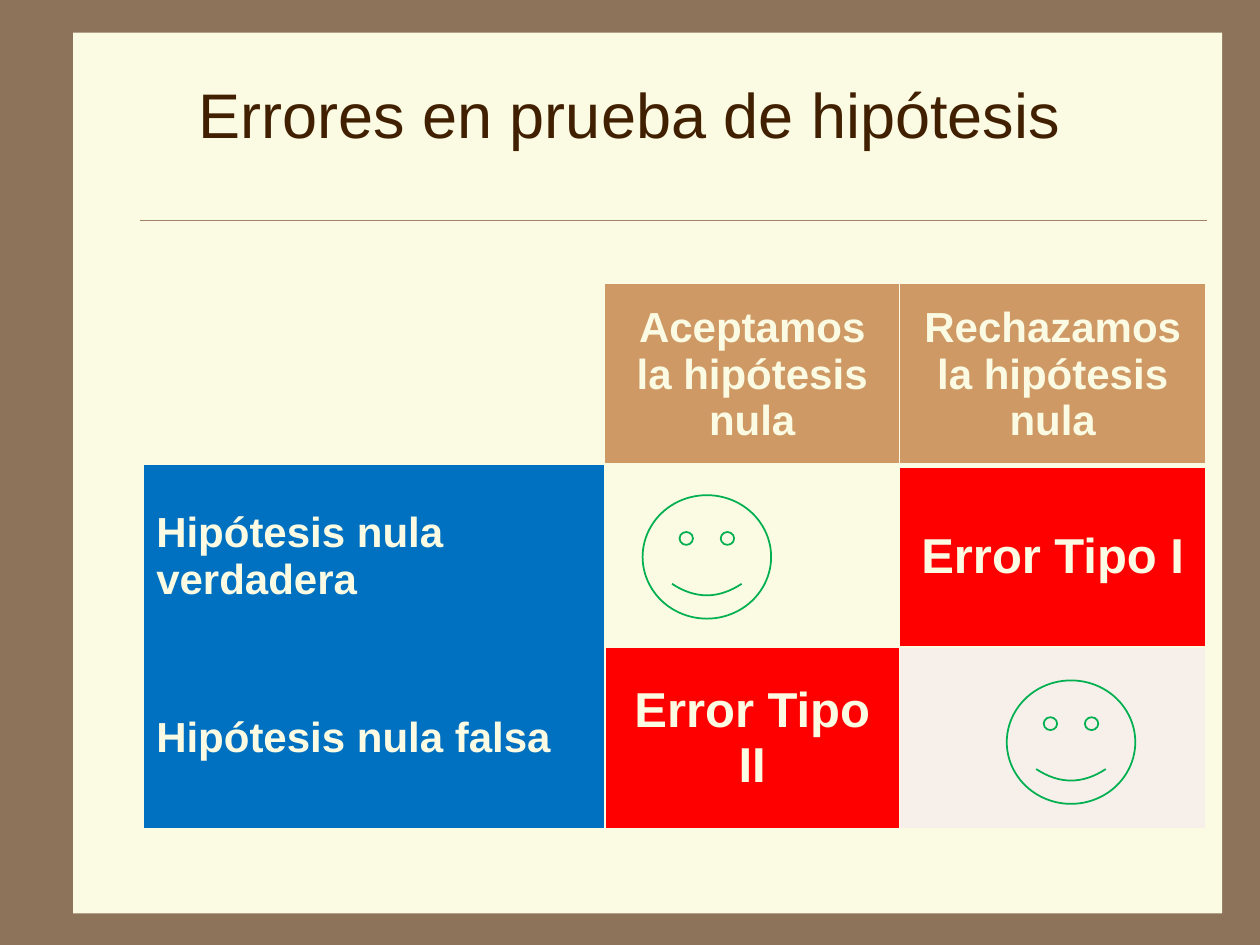
from lxml.etree import SubElement
from pptx import Presentation
from pptx.dml.color import RGBColor
from pptx.enum.shapes import MSO_CONNECTOR, MSO_SHAPE
from pptx.enum.text import MSO_ANCHOR, MSO_AUTO_SIZE, PP_ALIGN
from pptx.oxml.ns import qn
from pptx.util import Inches, Pt

BROWN = RGBColor(0x8C, 0x73, 0x5A)
CREAM = RGBColor(0xFB, 0xFA, 0xE2)
RULE = RGBColor(0xA0, 0x83, 0x66)
DARK = RGBColor(0x40, 0x20, 0x00)
TAN = RGBColor(0xCE, 0x99, 0x64)
BLUE = RGBColor(0x00, 0x70, 0xC0)
RED = RGBColor(0xFF, 0x00, 0x00)
PALE = RGBColor(0xF6, 0xEF, 0xEA)
GREEN = RGBColor(0x00, 0xB0, 0x50)

BASE = {"name": "Arial", "bold": True}
HEADER = {**BASE, "size": Pt(24)}
ERROR = {**BASE, "size": Pt(28)}
TITLE = {"name": "Arial", "size": Pt(36)}

CELLS = [
    [("", None, HEADER),
     ("Aceptamos la hipótesis nula", TAN, HEADER),
     ("Rechazamos la hipótesis nula", TAN, HEADER)],
    [("Hipótesis nula verdadera", BLUE, HEADER),
     ("", CREAM, HEADER),
     ("Error Tipo I", RED, ERROR)],
    [("Hipótesis nula falsa", BLUE, HEADER),
     ("Error Tipo II", RED, ERROR),
     ("", PALE, HEADER)],
]


def write(p, text, style, color, align):
    p.alignment = align
    r = p.add_run()
    r.text = text
    for key, value in style.items():
        setattr(r.font, key, value)
    r.font.color.rgb = color


def add_frame(s, x, y, w, h):
    sp = s.shapes.add_shape(MSO_SHAPE.RECTANGLE, x, y, w, h)
    sp.shadow.inherit = False
    sp.fill.solid()
    sp.fill.fore_color.rgb = CREAM
    sp.line.fill.background()


def add_rule(s, x, y, w):
    line = s.shapes.add_connector(MSO_CONNECTOR.STRAIGHT, x, y, x + w, y)
    line.line.color.rgb = RULE
    line.line.width = Pt(0.25)
    SubElement(line._element.spPr, qn("a:effectLst"))


def add_title(s, x, y, w, h):
    tf = s.shapes.add_textbox(x, y, w, h).text_frame
    settings = {"word_wrap": True, "auto_size": MSO_AUTO_SIZE.SHAPE_TO_FIT_TEXT,
                "margin_left": 0, "margin_right": 0, "margin_top": 0, "margin_bottom": 0}
    for key, value in settings.items():
        setattr(tf, key, value)
    write(tf.paragraphs[0], "Errores en prueba de hipótesis", TITLE, DARK, PP_ALIGN.CENTER)


def set_borders(cell, widths):
    tcPr = cell._tc.get_or_add_tcPr()
    for side, width in zip("LRTB", widths):
        ln = SubElement(tcPr, qn(f"a:ln{side}"), w=str(Pt(width)))
        if width:
            fill = SubElement(ln, qn("a:solidFill"))
            SubElement(fill, qn("a:srgbClr"), val=str(CREAM))
        else:
            SubElement(ln, qn("a:noFill"))


def border_widths(row, col):
    if col == 0:
        return (0, 0, 0, 0) if row == 0 else (1, 1, 0, row - 1)
    return (int(row + col > 1), 1, 3 if row == 1 else 1, 3 if row == 0 else 1)


def add_error_table(s, x, y, w, h):
    table = s.shapes.add_table(3, 3, x, y, w, h).table
    table.first_row = table.horz_banding = False
    for column, width in zip(table.columns, (3.66, 2.34, 2.43)):
        column.width = Inches(width)
    for i, row in enumerate(CELLS):
        for j, (text, color, style) in enumerate(row):
            cell = table.cell(i, j)
            set_borders(cell, border_widths(i, j))
            if color is None:
                cell.fill.background()
            else:
                cell.fill.solid()
                cell.fill.fore_color.rgb = color
            cell.vertical_anchor = MSO_ANCHOR.MIDDLE
            if text:
                align = PP_ALIGN.CENTER if j else PP_ALIGN.LEFT
                write(cell.text_frame.paragraphs[0], text, style, CREAM, align)


def add_face(s, x, y, w, h):
    sp = s.shapes.add_shape(MSO_SHAPE.SMILEY_FACE, x, y, w, h)
    sp.shadow.inherit = False
    sp.fill.background()
    sp.line.color.rgb = GREEN
    sp.line.width = Pt(1)


def main():
    prs = Presentation()
    prs.slide_width, prs.slide_height = Inches(10), Inches(7.5)
    s = prs.slides.add_slide(prs.slide_layouts[6])
    s.background.fill.solid()
    s.background.fill.fore_color.rgb = BROWN
    add_frame(s, Inches(0.58), Inches(0.26), Inches(9.12), Inches(6.99))
    add_rule(s, Inches(1.11), Inches(1.75), Inches(8.47))
    add_title(s, Inches(0.89), Inches(0.6), Inches(8.21), Inches(0.61))
    add_error_table(s, Inches(1.14), Inches(2.25), Inches(8.43), Inches(4.33))
    for x, y in ((5.1, 3.93), (7.99, 5.4)):
        add_face(s, Inches(x), Inches(y), Inches(1.02), Inches(0.98))
    prs.save("out.pptx")


if __name__ == "__main__":
    main()
